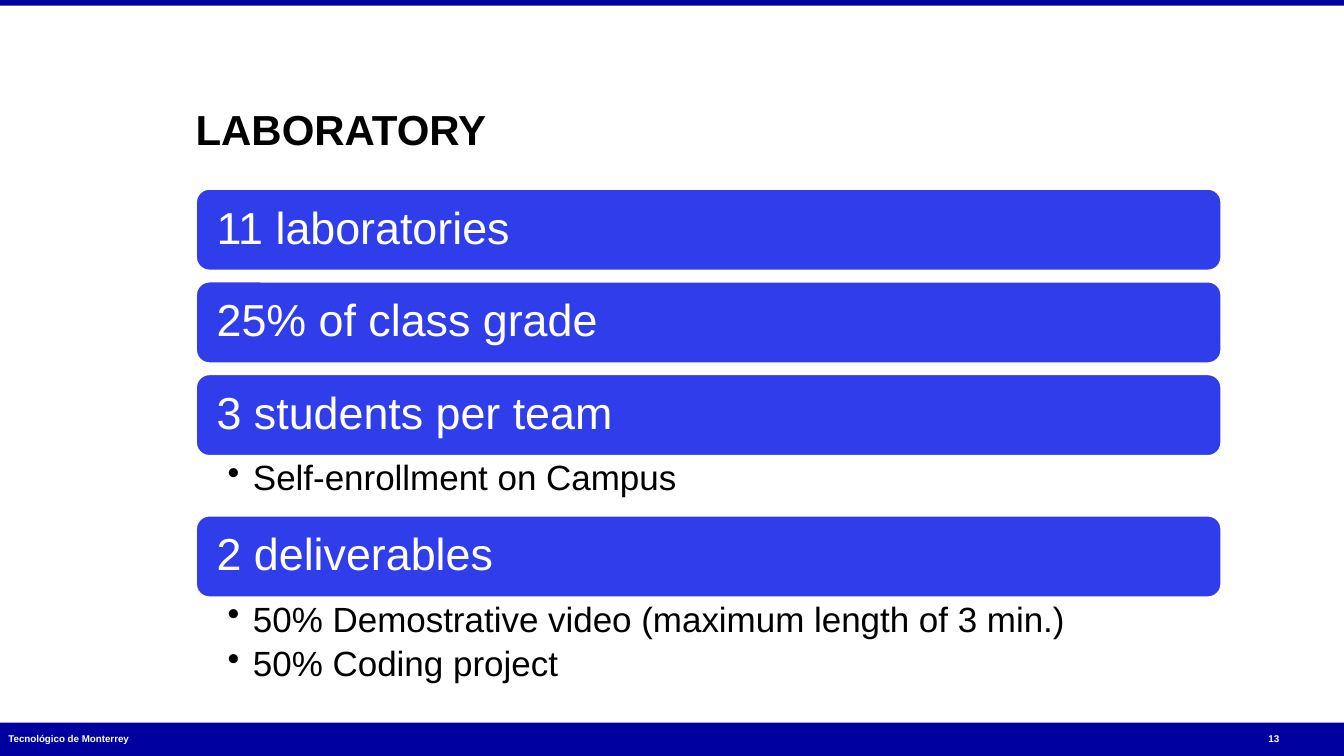
from pptx import Presentation
from pptx.dml.color import RGBColor
from pptx.enum.shapes import MSO_SHAPE as Shape
from pptx.enum.text import MSO_ANCHOR as Anchor, MSO_AUTO_SIZE as AutoSize, PP_ALIGN as Align
from pptx.oxml.ns import qn
from pptx.util import Pt
from lxml.etree import SubElement

COLOURS = {"navy": "0000A0", "blue": "2F3EEA", "white": "FFFFFF", "black": "000000"}
PAGE_WIDTH, PAGE_HEIGHT = 960, 540
LEFT, WIDTH = 139.7, 733
BAR_HEIGHT, BAR_GAP = 59, 7.2
TOPICS = [
    ("11 laboratories", []),
    ("25% of class grade", []),
    ("3 students per team", ["Self-enrollment on Campus"]),
    ("2 deliverables", ["50% Demostrative video (maximum length of 3 min.)",
                        "50% Coding project"]),
]
DETAIL_HEIGHTS = {1: 42, 2: 65.5}


class SlideBuilder:
    def __init__(self, page, font="Arial"):
        self.page = page
        self.font = font

    def colour(self, name):
        return RGBColor.from_string(COLOURS[name])

    def fill_text(self, shape, lines, size, colour, bold=False, anchor=Anchor.MIDDLE,
                  insets=(0, 0, 0, 0), spacing=1, bullet=False):
        """Fill a shape with left-aligned paragraphs; insets run left, top, right, bottom."""
        frame = shape.text_frame
        frame.word_wrap = True
        frame.auto_size = AutoSize.NONE
        frame.vertical_anchor = anchor
        (frame.margin_left, frame.margin_top,
         frame.margin_right, frame.margin_bottom) = map(Pt, insets)
        for index, line in enumerate(lines):
            para = frame.add_paragraph() if index else frame.paragraphs[0]
            para.text = line
            para.alignment = Align.LEFT
            para.line_spacing = spacing
            if bullet:
                para.space_after = Pt(5)
                self.add_bullet(para)
            para.font.name = self.font
            para.font.size = Pt(size)
            para.font.bold = bold
            para.font.color.rgb = self.colour(colour)

    def add_bullet(self, para):
        properties = para._p.get_or_add_pPr()
        properties.set("marL", str(Pt(18)))
        properties.set("indent", str(-Pt(18)))
        SubElement(properties, qn("a:buChar")).set("char", "•")

    def title(self, text, *bounds):
        heading = self.page.shapes.title
        heading.left, heading.top, heading.width, heading.height = map(Pt, bounds)
        self.fill_text(heading, [text], 30, "black", bold=True, anchor=Anchor.BOTTOM)

    def text(self, lines, *bounds, **style):
        box = self.page.shapes.add_textbox(*map(Pt, bounds))
        self.fill_text(box, lines, **style)

    def panel(self, kind, fill, *bounds, line=None):
        shape = self.page.shapes.add_shape(kind, *map(Pt, bounds))
        shape.shadow.inherit = False
        shape.fill.solid()
        shape.fill.fore_color.rgb = self.colour(fill)
        if line:
            shape.line.color.rgb = self.colour(line)
            shape.line.width = Pt(2)
        else:
            shape.line.fill.background()
        return shape

    def topic_bar(self, text, top):
        bar = self.panel(Shape.ROUNDED_RECTANGLE, "blue", LEFT, top, WIDTH, BAR_HEIGHT,
                         line="white")
        self.fill_text(bar, [text], 32, "white", insets=(12.2, 9, 12.2, 9), spacing=0.9)

    def details(self, lines, top, height):
        self.text(lines, LEFT, top, WIDTH, height, size=25, colour="black",
                  anchor=Anchor.TOP, insets=(23, 2.9, 18, 2.9), spacing=0.9, bullet=True)


def main():
    deck = Presentation()
    deck.slide_width, deck.slide_height = Pt(PAGE_WIDTH), Pt(PAGE_HEIGHT)
    builder = SlideBuilder(deck.slides.add_slide(deck.slide_layouts[5]))

    builder.panel(Shape.RECTANGLE, "navy", 0, 516.2, PAGE_WIDTH, PAGE_HEIGHT - 516.2)
    builder.panel(Shape.RECTANGLE, "navy", 0, 0, PAGE_WIDTH, 4)
    for text, left, width in [("Tecnológico de Monterrey", 6, 268), ("13", 906, 34)]:
        builder.text([text], left, 515, width, 25, size=7, colour="white", bold=True)
    builder.title("LABORATORY", LEFT, 34, WIDTH, 76.2)

    top = 134.6
    for topic, lines in TOPICS:
        builder.topic_bar(topic, top)
        top += BAR_HEIGHT
        if lines:
            height = DETAIL_HEIGHTS[len(lines)]
            builder.details(lines, top, height)
            top += height
        else:
            top += BAR_GAP

    deck.save("out.pptx")


if __name__ == "__main__":
    main()
